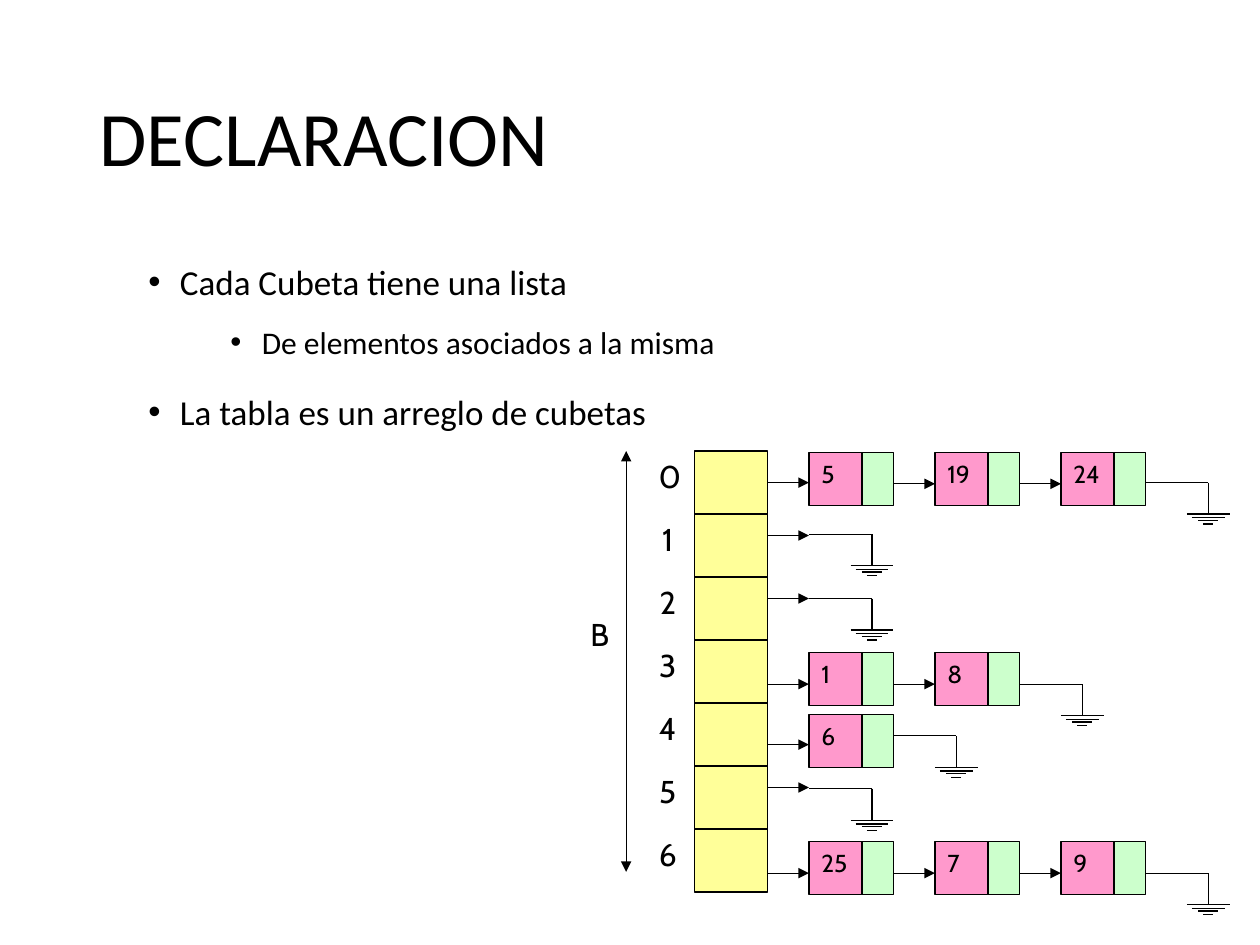
from pptx import Presentation
from pptx.dml.color import RGBColor
from pptx.enum.shapes import MSO_CONNECTOR, MSO_SHAPE
from pptx.enum.text import MSO_ANCHOR, PP_ALIGN
from pptx.oxml.ns import qn
from pptx.util import Inches, Pt
from lxml import etree

RECT = MSO_SHAPE.RECTANGLE
STRAIGHT = MSO_CONNECTOR.STRAIGHT
MIDDLE = MSO_ANCHOR.MIDDLE
LEFT, CENTER = PP_ALIGN.LEFT, PP_ALIGN.CENTER

BLACK, YELLOW, PINK, GREEN = "000000", "FFFF99", "FF99CC", "CCFFCC"
TABLE_X, TABLE_Y, BUCKET_W, BUCKET_H = 5.51, 3.58, 0.58, 0.5
LIST_X, NODE_STEP = 6.42, 1.0
VALUE_W, NEXT_W, NODE_H = 0.42, 0.25, 0.42

# Values in the list, top of the nodes, height of the first arrow and of the ground wire
BUCKETS = [
    (["5", "19", "24"], 3.59, 3.83, 3.83),
    ([], None, 4.25, 4.24),
    ([], None, 4.75, 4.75),
    (["1", "8"], 5.18, 5.43, 5.43),
    (["6"], 5.67, 5.91, 5.84),
    ([], None, 6.25, 6.26),
    (["25", "7", "9"], 6.68, 6.93, 6.93),
]
# Half width of each ground bar and its distance below the wire
GROUND_BARS = [(0.17, 0.25), (0.13, 0.28), (0.08, 0.3), (0.04, 0.33)]

BULLETS = [  # text, level, size, indent, space before
    ("Cada Cubeta tiene una lista", 0, 20, 0.25, 0),
    ("De elementos asociados a la misma", 1, 18, 0.9, 5),
    ("La tabla es un arreglo de cubetas", 0, 20, 0.25, 10),
]


def color(value):
    return RGBColor.from_string(value)


def style(para, font, size):
    for span in para.runs:
        span.font.name = font
        span.font.size = Pt(size)
        span.font.color.rgb = color(BLACK)


def add_title(page, text):
    title = page.shapes.title
    title.left, title.top = Inches(0.69), Inches(0.4)
    title.width, title.height = Inches(8.63), Inches(1.45)
    frame = title.text_frame
    frame.text = text
    frame.vertical_anchor = MIDDLE
    para = frame.paragraphs[0]
    para.alignment = LEFT
    para.line_spacing = 0.9
    style(para, "Calibri", 44)


def add_bullets(page):
    box = page.shapes.add_textbox(Inches(1.08), Inches(1.92), Inches(8.5), Inches(2.04))
    frame = box.text_frame
    frame.word_wrap = True
    for index, (text, level, size, indent, space) in enumerate(BULLETS):
        para = frame.add_paragraph() if index else frame.paragraphs[0]
        para.text = text
        para.level = level
        props = para._p.get_or_add_pPr()
        props.set("marL", str(Inches(indent)))
        props.set("indent", str(-Inches(0.25)))
        etree.SubElement(props, qn("a:buFont")).set("typeface", "Arial")
        etree.SubElement(props, qn("a:buChar")).set("char", "•")
        para.line_spacing = 1.3
        para.space_before = Pt(space)
        style(para, "Calibri", size)


def add_rect(page, x, y, width, height, fill):
    rect = page.shapes.add_shape(RECT, Inches(x), Inches(y), Inches(width), Inches(height))
    rect.shadow.inherit = False
    rect.fill.solid()
    rect.fill.fore_color.rgb = color(fill)
    rect.line.color.rgb = color(BLACK)
    rect.line.width = Pt(0.75)


def add_label(page, text, x, y, width, height, size, align, wrap):
    box = page.shapes.add_textbox(Inches(x), Inches(y), Inches(width), Inches(height))
    frame = box.text_frame
    frame.word_wrap = wrap
    frame.text = text
    frame.paragraphs[0].alignment = align
    style(frame.paragraphs[0], "Cabin", size)


def add_line(page, x1, y1, x2, y2, ends=()):
    line = page.shapes.add_connector(STRAIGHT, Inches(x1), Inches(y1), Inches(x2), Inches(y2))
    line.line.color.rgb = color(BLACK)
    line.line.width = Pt(0.75)
    for end in ends:
        etree.SubElement(line.line._ln, qn(end)).set("type", "triangle")
    etree.SubElement(line._element.spPr, qn("a:effectLst"))


def add_arrow(page, x1, x2, y):
    add_line(page, x1, y, x2, y, ["a:tailEnd"])


def add_node(page, value, x, y):
    add_rect(page, x, y, VALUE_W, NODE_H, PINK)
    add_rect(page, x + VALUE_W, y, NEXT_W, NODE_H, GREEN)
    add_label(page, value, x, y, 0.5, 0.34, 14, LEFT, True)


def add_ground(page, x, y):
    center = x + 0.5
    add_line(page, x, y, center, y)
    add_line(page, center, y, center, y + 0.25)
    for half, drop in GROUND_BARS:
        add_line(page, center - half, y + drop, center + half, y + drop)


def add_bucket(page, index, values, node_y, arrow_y, ground_y):
    y = TABLE_Y + index * BUCKET_H
    add_rect(page, TABLE_X, y, BUCKET_W, BUCKET_H, YELLOW)
    add_label(page, str(index), 5.13, y, 0.34, 0.4, 18, CENTER, False)
    add_arrow(page, TABLE_X + BUCKET_W, LIST_X, arrow_y)
    end_x = LIST_X
    for position, value in enumerate(values):
        x = LIST_X + position * NODE_STEP
        if position:
            add_arrow(page, end_x, x, node_y + 0.25)
        add_node(page, value, x, node_y)
        end_x = x + VALUE_W + NEXT_W
    add_ground(page, end_x, ground_y)


def main():
    deck = Presentation()
    deck.slide_width, deck.slide_height = Inches(10), Inches(7.5)
    page = deck.slides.add_slide(deck.slide_layouts[5])
    add_title(page, "DECLARACION")
    add_bullets(page)
    # Size of the table
    add_line(page, 4.97, 3.58, 4.97, 6.92, ["a:headEnd", "a:tailEnd"])
    add_label(page, "B", 4.58, 4.83, 0.36, 0.4, 18, CENTER, False)
    # Buckets with their linked lists
    for index, bucket in enumerate(BUCKETS):
        add_bucket(page, index, *bucket)
    deck.save("out.pptx")


if __name__ == "__main__":
    main()
